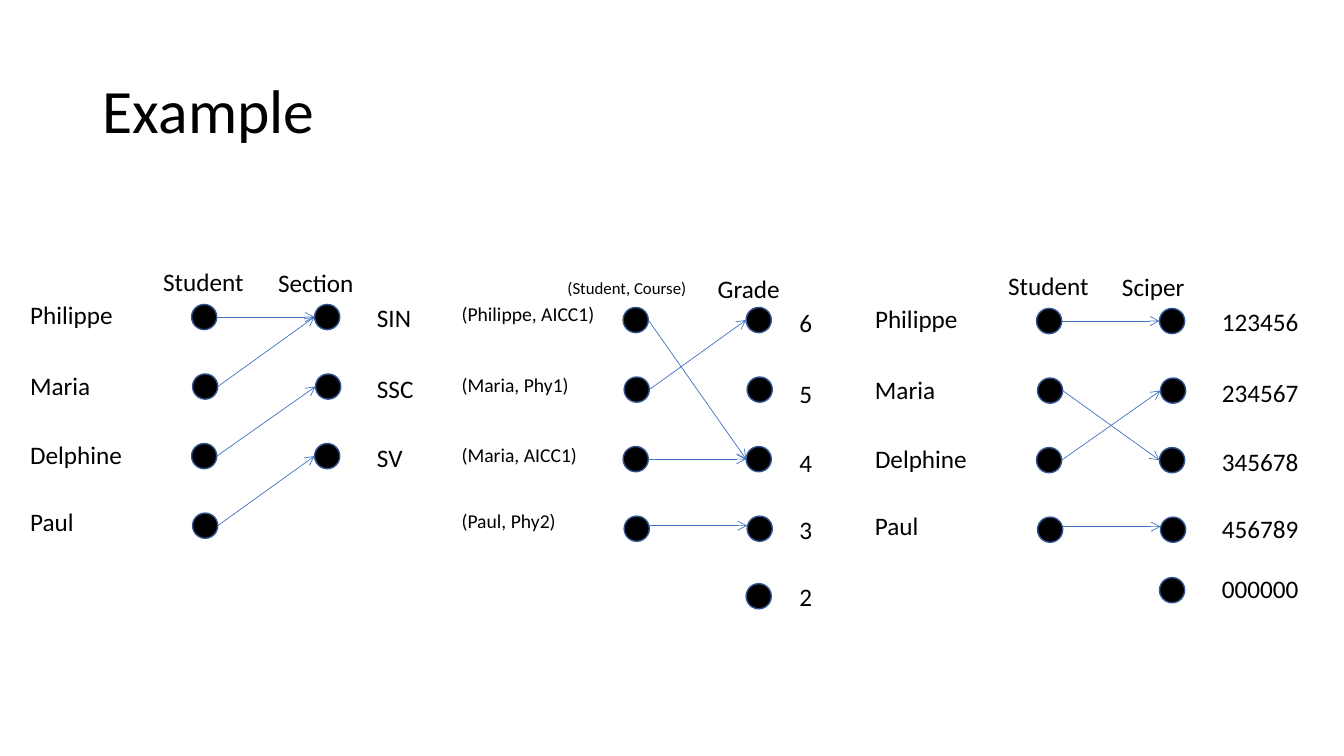
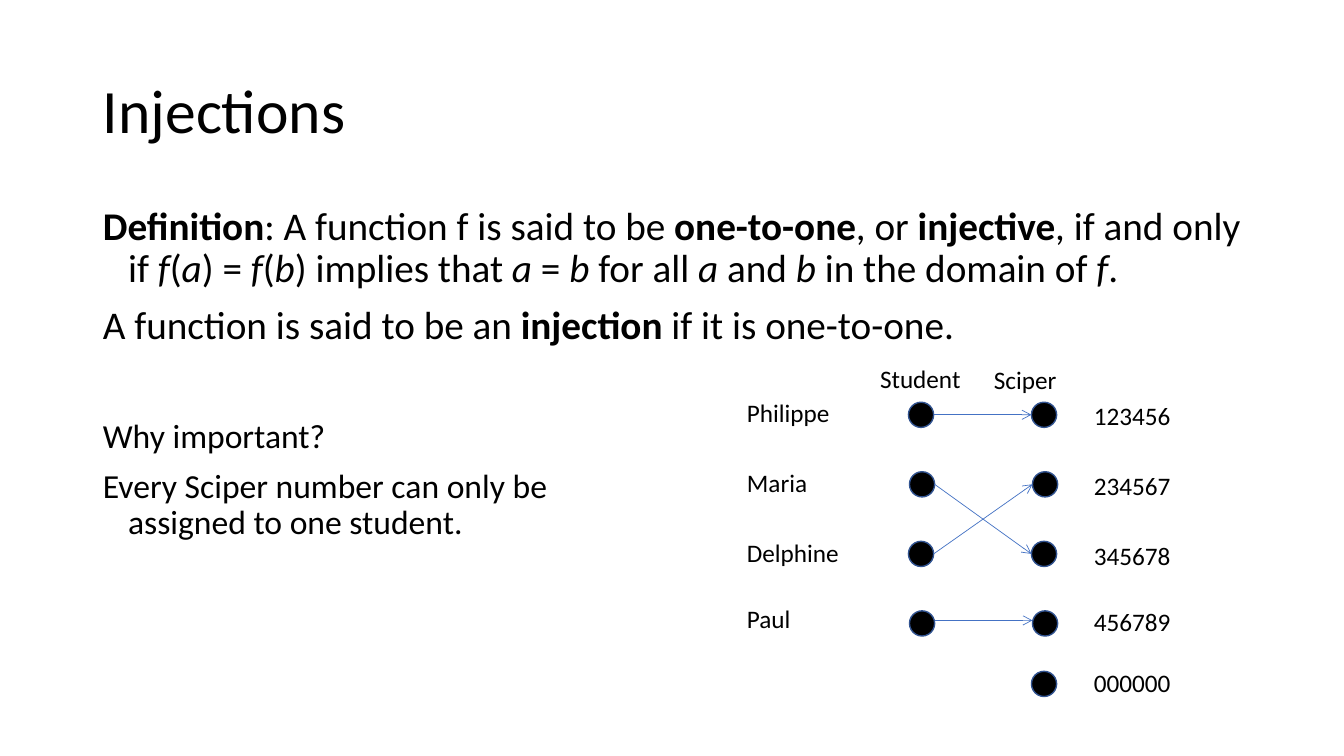
"""Build two slides that show functions as dots joined by arrows."""
import dataclasses
import typing

import lxml.etree
import pptx
import pptx.dml.color
import pptx.enum.shapes
import pptx.enum.text
import pptx.oxml.ns
import pptx.util

Inches = pptx.util.Inches
Pt = pptx.util.Pt
Rgb = pptx.dml.color.RGBColor
Run = tuple[str, str]


@dataclasses.dataclass(frozen=True)
class Theme:
    font: str = "Calibri"
    ink: Rgb = Rgb(0, 0, 0)
    rim: Rgb = Rgb(0x32, 0x54, 0x91)
    arrow: Rgb = Rgb(0x44, 0x72, 0xC4)
    title: int = 44
    body: int = 28
    note: int = 24
    label: int = 18
    pair: int = 14
    small: int = 12


THEME = Theme()
WIDE, HIGH = 13.33, 7.5
DOT, STEP, REACH, SHIFT = 0.25, 0.69, 1.22, 0.01
ROWS = (0, 0.7, 1.39, 2.05)
SPANS = (2.58, 2.17, 2.58, 1.83, 1.83)


class Head(typing.NamedTuple):
    text: str
    left: float
    top: float
    width: float
    size: int = THEME.label


@dataclasses.dataclass(frozen=True)
class Map:
    left: float
    top: float
    heads: tuple[Head, Head]
    names: tuple[str, ...]
    marks: tuple[str, ...]
    links: tuple[tuple[int, int], ...]
    size: int = THEME.label
    gap: float = 1.74
    rise: float = 0.07
    last: float = 2.67
    limit: float = 2.58


class Para(typing.NamedTuple):
    runs: tuple[Run, ...]
    size: int = THEME.body
    before: int = 10


PEOPLE = ("Philippe", "Maria", "Delphine", "Paul")
STUDENT = Head("Student", -0.38, -0.43, 1.01)

SECTION = Map(
    1.9, 3.02, (STUDENT, Head("Section", 0.76, -0.42, 0.96)),
    PEOPLE, ("SIN", "SSC", "SV"), ((0, 0), (1, 0), (2, 1), (3, 2)), limit=1.08)
GRADE = Map(
    6.18, 3.05,
    (Head("(Student, Course)", -0.65, -0.34, 1.39, THEME.small),
     Head("Grade", 0.84, -0.39, 0.82)),
    ("(Philippe, AICC1)", "(Maria, Phy1)", "(Maria, AICC1)", "(Paul, Phy2)"),
    ("6", "5", "4", "3", "2"), ((0, 2), (1, 0), (2, 2), (3, 3)),
    size=THEME.pair, gap=1.65, rise=0.05, last=2.74)
SCIPER = Map(
    10.28, 3.06, (STUDENT, Head("Sciper", 0.75, -0.42, 0.83)),
    PEOPLE, ("123456", "234567", "345678", "456789", "000000"),
    ((0, 0), (1, 2), (2, 1), (3, 3)))

PROSE = (
    Para((("Definition", "b"), (": A function f is said to be ", ""),
          ("one-to-one", "b"), (", or ", ""), ("injective", "b"),
          (", if and only if ", ""), ("f", "i"), ("(", ""), ("a", "i"),
          (") = ", ""), ("f", "i"), ("(", ""), ("b", "i"),
          (") implies that ", ""), ("a", "i"), (" = ", ""), ("b", "i"),
          (" for all ", ""), ("a", "i"), (" and ", ""), ("b", "i"),
          (" in the domain of ", ""), ("f", "i"), (".", ""))),
    Para((("A function is said to be an ", ""), ("injection", "b"),
          (" if it is one-to-one.", ""))),
    Para((("Why important?", ""),), THEME.note, 51),
    Para((("Every Sciper number can only be", ""), ("\n", ""),
          ("assigned to one student.", "")), THEME.note),
)


def place(shape, left: float, top: float, width: float, height: float) -> None:
    shape.left, shape.top = Inches(left), Inches(top)
    shape.width, shape.height = Inches(width), Inches(height)


def write(para, text: str, size: int, style: str = "") -> None:
    run = para.add_run()
    run.text = text
    font = run.font
    font.name, font.size = THEME.font, Pt(size)
    font.bold, font.italic = style == "b", style == "i"
    font.color.rgb = THEME.ink


def label(slide, text: str, left: float, top: float, width: float,
          size: int, wrap: bool = True) -> None:
    high = {THEME.label: 0.4, THEME.pair: 0.34, THEME.small: 0.3}[size]
    box = slide.shapes.add_textbox(
        Inches(left), Inches(top), Inches(width), Inches(high))
    frame = box.text_frame
    frame.word_wrap = wrap
    frame.auto_size = pptx.enum.text.MSO_AUTO_SIZE.SHAPE_TO_FIT_TEXT
    write(frame.paragraphs[0], text, size)


def spot(plan: Map, side: int, row: int) -> tuple[float, float]:
    drop = plan.last if row == len(ROWS) else row * STEP
    return plan.left + side * REACH + row % 2 * SHIFT, plan.top + drop


def dot(slide, left: float, top: float) -> None:
    oval = slide.shapes.add_shape(
        pptx.enum.shapes.MSO_SHAPE.OVAL,
        Inches(left), Inches(top), Inches(DOT), Inches(DOT))
    oval.shadow.inherit = False
    oval.fill.solid()
    oval.fill.fore_color.rgb = THEME.ink
    oval.line.color.rgb = THEME.rim
    oval.line.width = Pt(1)


def link(slide, plan: Map, start: int, end: int) -> None:
    left, top = spot(plan, 0, start)
    right, low = spot(plan, 1, end)
    mid = DOT / 2 - (0.03 if start == end == 3 else 0)
    line = slide.shapes.add_connector(
        pptx.enum.shapes.MSO_CONNECTOR.STRAIGHT,
        Inches(left + DOT), Inches(top + mid), Inches(right), Inches(low + mid))
    line.line.color.rgb = THEME.arrow
    line.line.width = Pt(0.5)
    name = pptx.oxml.ns.qn
    props = line._element.spPr
    lxml.etree.SubElement(props.find(name("a:ln")), name("a:tailEnd"), type="arrow")
    lxml.etree.SubElement(props, name("a:effectLst"))


def draw(slide, plan: Map) -> None:
    rows = (*ROWS, plan.last - 0.02)
    for row, (text, drop) in enumerate(zip(plan.names, rows)):
        label(slide, text, plan.left - 1.7, plan.top + drop - 0.1,
              SPANS[row], plan.size)
        dot(slide, *spot(plan, 0, row))
    for row, (text, drop) in enumerate(zip(plan.marks, rows)):
        left = plan.left + plan.gap
        width = min(SPANS[row], plan.limit, WIDE - left)
        label(slide, text, left, plan.top + drop - plan.rise, width, THEME.label)
        dot(slide, *spot(plan, 1, row))
    for head in plan.heads:
        label(slide, head.text, plan.left + head.left, plan.top + head.top,
              head.width, head.size, wrap=False)
    for start, end in plan.links:
        link(slide, plan, start, end)


def page(deck, layout: int, title: str):
    slide = deck.slides.add_slide(deck.slide_layouts[layout])
    shape = slide.shapes.title
    place(shape, 0.92, 0.4, 11.5, 1.45)
    shape.text_frame.vertical_anchor = pptx.enum.text.MSO_ANCHOR.MIDDLE
    para = shape.text_frame.paragraphs[0]
    para.alignment = pptx.enum.text.PP_ALIGN.LEFT
    para.line_spacing = 0.9
    write(para, title, THEME.title)
    return slide


def fill(shape, prose: tuple[Para, ...]) -> None:
    place(shape, 0.92, 2, 11.5, 4.76)
    frame = shape.text_frame
    frame.auto_size = pptx.enum.text.MSO_AUTO_SIZE.NONE
    for rank, item in enumerate(prose):
        para = frame.add_paragraph() if rank else frame.paragraphs[0]
        para.line_spacing, para.space_before = 0.9, Pt(item.before)
        props = para._p.get_or_add_pPr()
        props.set("marL", str(Inches(0.25)))
        props.set("indent", str(Inches(-0.25)))
        lxml.etree.SubElement(props, pptx.oxml.ns.qn("a:buNone"))
        for text, style in item.runs:
            if text == "\n":
                para.add_line_break()
            else:
                write(para, text, item.size, style)


def main() -> None:
    deck = pptx.Presentation()
    deck.slide_width, deck.slide_height = Inches(WIDE), Inches(HIGH)
    slide = page(deck, 5, "Example")
    for plan in (SECTION, GRADE, SCIPER):
        draw(slide, plan)
    slide = page(deck, 1, "Injections")
    fill(slide.placeholders[1], PROSE)
    draw(slide, dataclasses.replace(SCIPER, left=9.01, top=3.99))
    deck.save("out.pptx")


if __name__ == "__main__":
    main()
